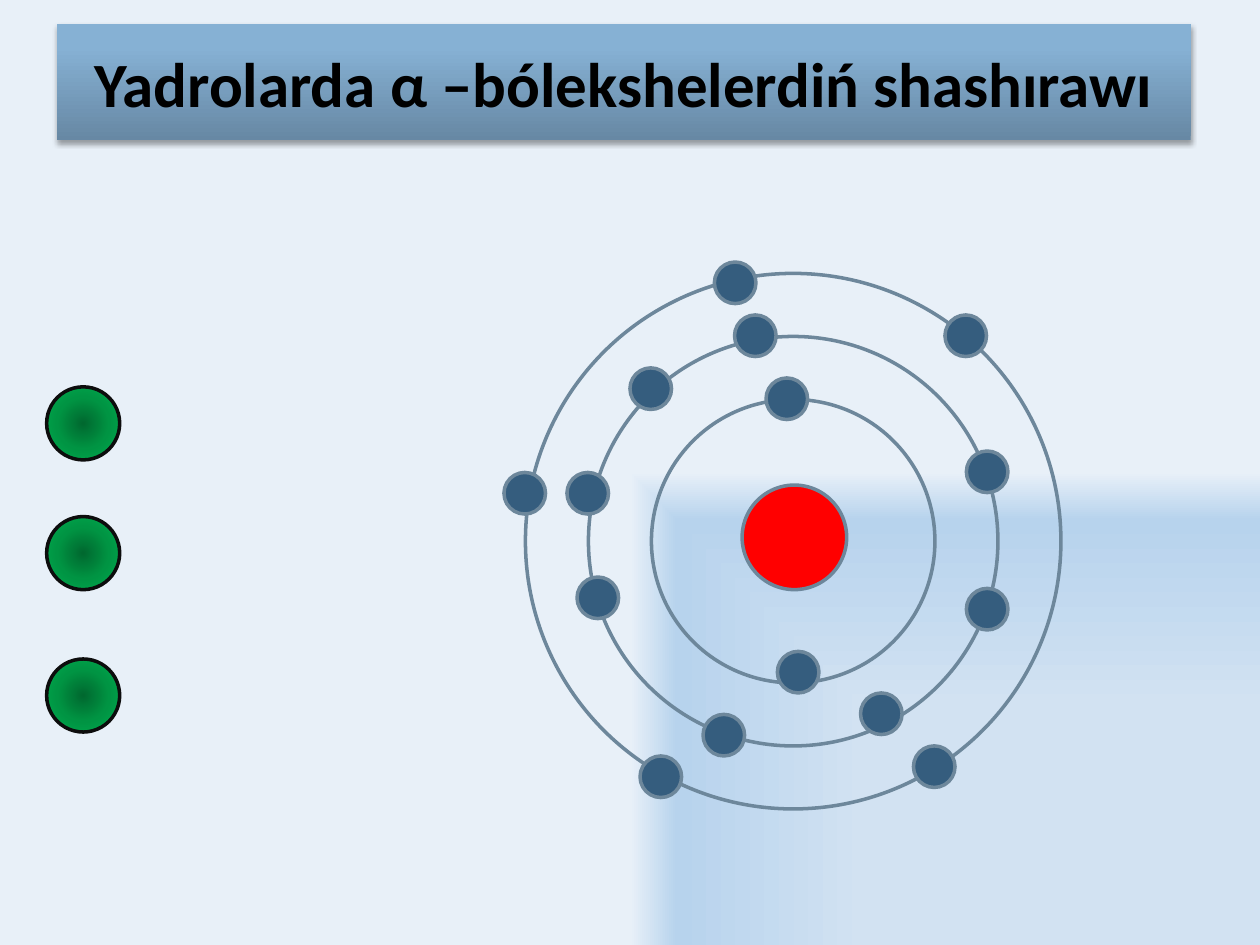
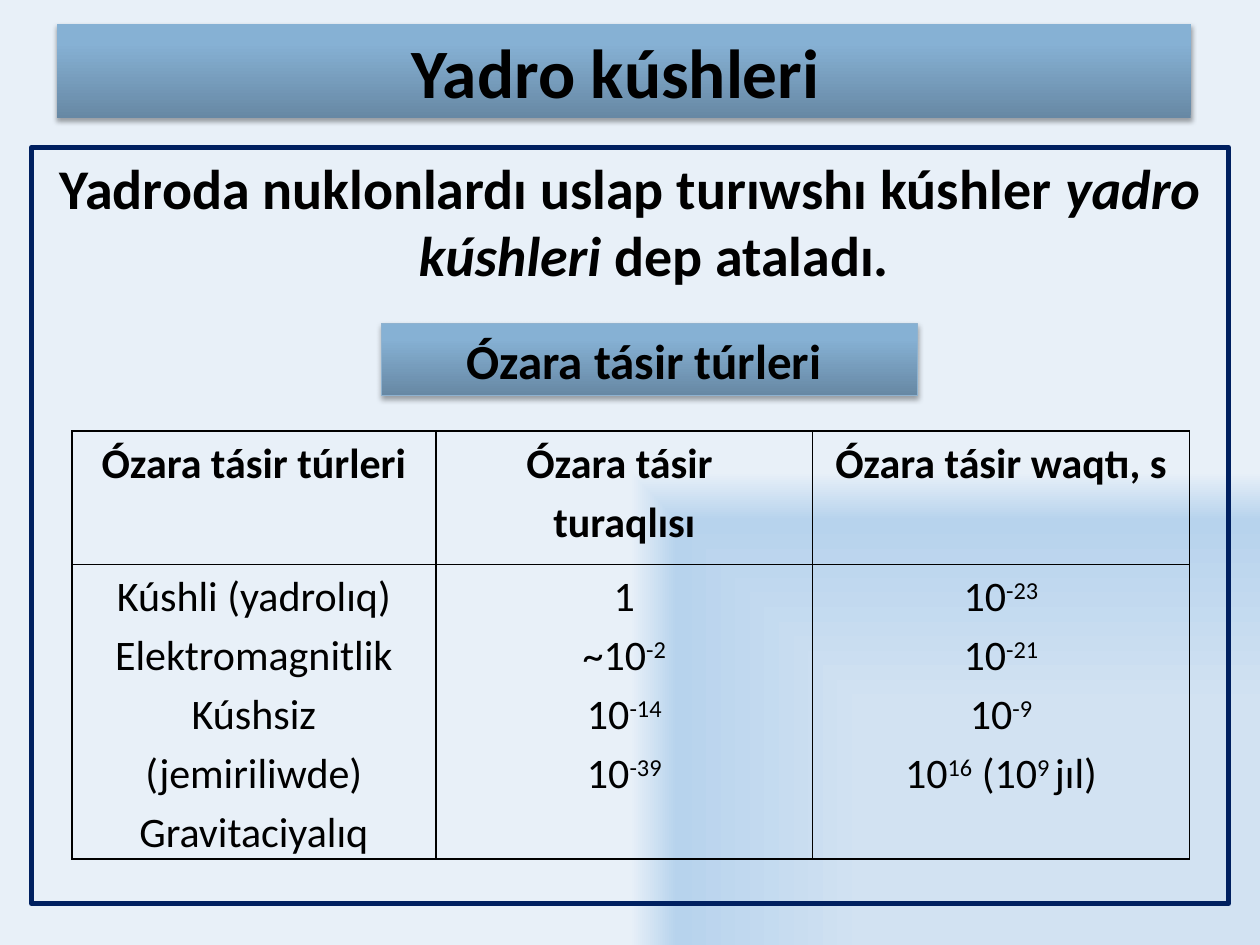
from lxml import etree
from pptx import Presentation
from pptx.dml.color import RGBColor
from pptx.enum import shapes, text
from pptx.oxml import ns
from pptx.util import Inches, Pt

FONT = "Calibri"
BLACK, NAVY, RED = "000000", "002060", "FF0000"
ORBIT, ELECTRON, RIM, BAND_EDGE = "6D879B", "355D7E", "0D0D0D", "8FB2CF"
BAND = [(0, "6788A4"), (80, "86B1D4"), (100, "86B2D7")]
PARTICLE = [(0, "00682F"), (50, "009443"), (100, "00B050")]
BACKDROP = [(50, "D2E2F2"), (90, "B7D3ED"), (100, "E8F0F8")]
FROM_CENTRE = ("circle", dict(l=50, t=50, r=50, b=50))
FROM_CORNER = ("rect", dict(l=100, t=100, r=0, b=0))


def rgb(hex_color):
    return RGBColor.from_string(hex_color)


def add(parent, tag, **attributes):
    child = etree.SubElement(parent, ns.qn(tag))
    for key, value in attributes.items():
        child.set(key, str(value))
    return child


def set_gradient(fill, holder, stops, focus=None):
    """Fill with colour stops, upwards or around a (kind, sides) focus."""
    fill.gradient()
    gradient = holder.find(".//" + ns.qn("a:gradFill"))
    for child in list(gradient):
        gradient.remove(child)
    stop_list = add(gradient, "a:gsLst")
    for position, color in stops:
        add(add(stop_list, "a:gs", pos=position * 1000), "a:srgbClr", val=color)
    if focus:
        kind, percents = focus
        sides = {side: percent * 1000 for side, percent in percents.items()}
        add(add(gradient, "a:path", path=kind), "a:fillToRect", **sides)
    else:
        add(gradient, "a:lin", ang=270 * 60000, scaled=0)


class Deck:
    def __init__(self):
        self.prs = Presentation()
        self.prs.slide_width, self.prs.slide_height = Inches(10), Inches(7.5)
        master = self.prs.slide_master
        set_gradient(master.background.fill, master._element.cSld, BACKDROP, FROM_CORNER)

    def new_slide(self, layout):
        self.slide = self.prs.slides.add_slide(self.prs.slide_layouts[layout])

    def place(self, shape, left, top, width, height):
        shape.left, shape.top = Inches(left), Inches(top)
        shape.width, shape.height = Inches(width), Inches(height)

    def outline(self, shape, color, width):
        shape.line.color.rgb = rgb(color)
        shape.line.width = Pt(width)

    def set_text(self, paragraph, content, size, bold=True):
        """Add text in which ^marks^ enclose superscripts and _marks_ italics."""
        paragraph.alignment = text.PP_ALIGN.CENTER
        font = paragraph.font
        font.name, font.size, font.bold = FONT, Pt(size), bold
        font.color.rgb = rgb(BLACK)
        mark = "_" if "_" in content else "^"
        for index, part in enumerate(content.split(mark)):
            if not part:
                continue
            run = paragraph.add_run()
            run.text = part
            if index % 2 and mark == "_":
                run.font.italic = True
            elif index % 2:
                run._r.get_or_add_rPr().set("baseline", "30000")

    def band(self, shape, content, size):
        """Give a shape the blue band look with a soft shadow and a caption."""
        set_gradient(shape.fill, shape._element.spPr, BAND)
        shape.shadow.inherit = False
        effects = shape._element.spPr.find(ns.qn("a:effectLst"))
        shadow = add(effects, "a:outerShdw", blurRad=Pt(3.1), dist=Pt(1.8),
                     dir=90 * 60000, rotWithShape=0)
        add(add(shadow, "a:srgbClr", val=BLACK), "a:alpha", val=35000)
        frame = shape.text_frame
        frame.word_wrap = True
        frame.auto_size = text.MSO_AUTO_SIZE.NONE
        frame.vertical_anchor = text.MSO_ANCHOR.MIDDLE
        self.set_text(frame.paragraphs[0], content, size)

    def title(self, content, height, size):
        title = self.slide.shapes.title
        self.place(title, 0.45, 0.19, 9, height)
        self.band(title, content, size)

    def caption(self, content, left, top, width, height, size):
        caption = self.slide.shapes.add_shape(
            shapes.MSO_SHAPE.RECTANGLE, *map(Inches, (left, top, width, height)))
        self.outline(caption, BAND_EDGE, 0.75)
        self.band(caption, content, size)

    def body(self, content, left, top, width, height, size):
        body = self.slide.placeholders[1]
        self.place(body, left, top, width, height)
        self.outline(body, NAVY, 3)
        body.text_frame.auto_size = text.MSO_AUTO_SIZE.NONE
        statement = body.text_frame.paragraphs[0]
        properties = statement._p.get_or_add_pPr()
        properties.set("marL", str(Inches(0.38)))
        properties.set("indent", str(Inches(-0.38)))
        add(properties, "a:buNone")
        statement.space_before = Pt(0)
        self.set_text(statement, content, size)

    def circle(self, left, top, size, color=None, stops=None, edge=ORBIT):
        circle = self.slide.shapes.add_shape(
            shapes.MSO_SHAPE.OVAL, *map(Inches, (left, top, size, size)))
        circle.shadow.inherit = False
        self.outline(circle, edge, 2)
        if stops:
            set_gradient(circle.fill, circle._element.spPr, stops, FROM_CENTRE)
        elif color:
            circle.fill.solid()
            circle.fill.fore_color.rgb = rgb(color)
        else:
            circle.fill.background()

    def table(self, rows, left, top, widths, heights, size):
        table = self.slide.shapes.add_table(
            len(rows), len(widths), Inches(left), Inches(top),
            Inches(sum(widths)), Inches(sum(heights))).table
        table.first_row = table.horz_banding = False
        for column, width in zip(table.columns, widths):
            column.width = Inches(width)
        for row, height in zip(table.rows, heights):
            row.height = Inches(height)
        for r, row in enumerate(rows):
            for c, lines in enumerate(row):
                self.cell(table.cell(r, c), lines, size, bold=r == 0)

    def cell(self, cell, lines, size, bold):
        cell.margin_left = cell.margin_right = Inches(0.07)
        cell.margin_top = cell.margin_bottom = 0
        properties = cell._tc.get_or_add_tcPr()
        for side in ("a:lnL", "a:lnR", "a:lnT", "a:lnB"):
            border = add(properties, side, w=Pt(1))
            add(add(border, "a:solidFill"), "a:srgbClr", val=BLACK)
        cell.fill.background()
        frame = cell.text_frame
        for index, line in enumerate(lines):
            paragraph = frame.add_paragraph() if index else frame.paragraphs[0]
            paragraph.line_spacing = 1.15
            self.set_text(paragraph, line, size, bold)


def scattering_slide(deck):
    deck.new_slide(5)
    deck.title("Yadrolarda α –bólekshelerdiń shashırawı", 0.92, 36)

    # Nucleus and orbits
    deck.circle(5.89, 3.85, 0.83, RED)
    for step in range(3):
        deck.circle(5.17 - step / 2, 3.17 - step / 2, 2.25 + step)

    # Electrons, from the inner orbit outwards
    inner = [(6.08, 3), (6.17, 5.17)]
    middle = [(7.67, 3.58), (4.58, 4.58), (5, 2.92), (5.58, 5.67),
              (5.83, 2.5), (4.5, 3.75), (6.83, 5.5), (7.67, 4.67)]
    outer = [(5.67, 2.08), (7.25, 5.92), (7.5, 2.5), (4, 3.75), (5.08, 6)]
    for left, top in inner + middle + outer:
        deck.circle(left, top, 0.33, ELECTRON)

    # Incoming alpha particles
    for top in (3.07, 4.1, 5.23):
        deck.circle(0.37, top, 0.58, stops=PARTICLE, edge=RIM)


def forces_slide(deck):
    deck.new_slide(1)
    deck.title("Yadro kúshleri ", 0.75, 39.6)
    deck.body("Yadroda nuklonlardı uslap turıwshı kúshler _yadro kúshleri _dep ataladı.",
              0.25, 1.17, 9.5, 6, 32)
    deck.caption("Ózara tásir túrleri ", 3.03, 2.57, 4.25, 0.57, 28)

    # Interactions: kind, constant and time
    header = [["Ózara tásir túrleri"], ["Ózara tásir ", "turaqlısı"],
              ["Ózara tásir waqtı, s"]]
    values = [["Kúshli (yadrolıq)", "Elektromagnitlik", "Kúshsiz (jemiriliwde)",
               "Gravitaciyalıq"],
              ["1", "~10^-2^", "10^-14^", "10^-39^"],
              ["10^-23^", "10^-21^", "10^-9^", "10^16^ (10^9 ^jıl)"]]
    deck.table([header, values], 0.57, 3.42, [2.89, 2.99, 2.99], [1.06, 2.3], 24)


def main():
    deck = Deck()
    scattering_slide(deck)
    forces_slide(deck)
    deck.prs.save("out.pptx")


if __name__ == "__main__":
    main()
